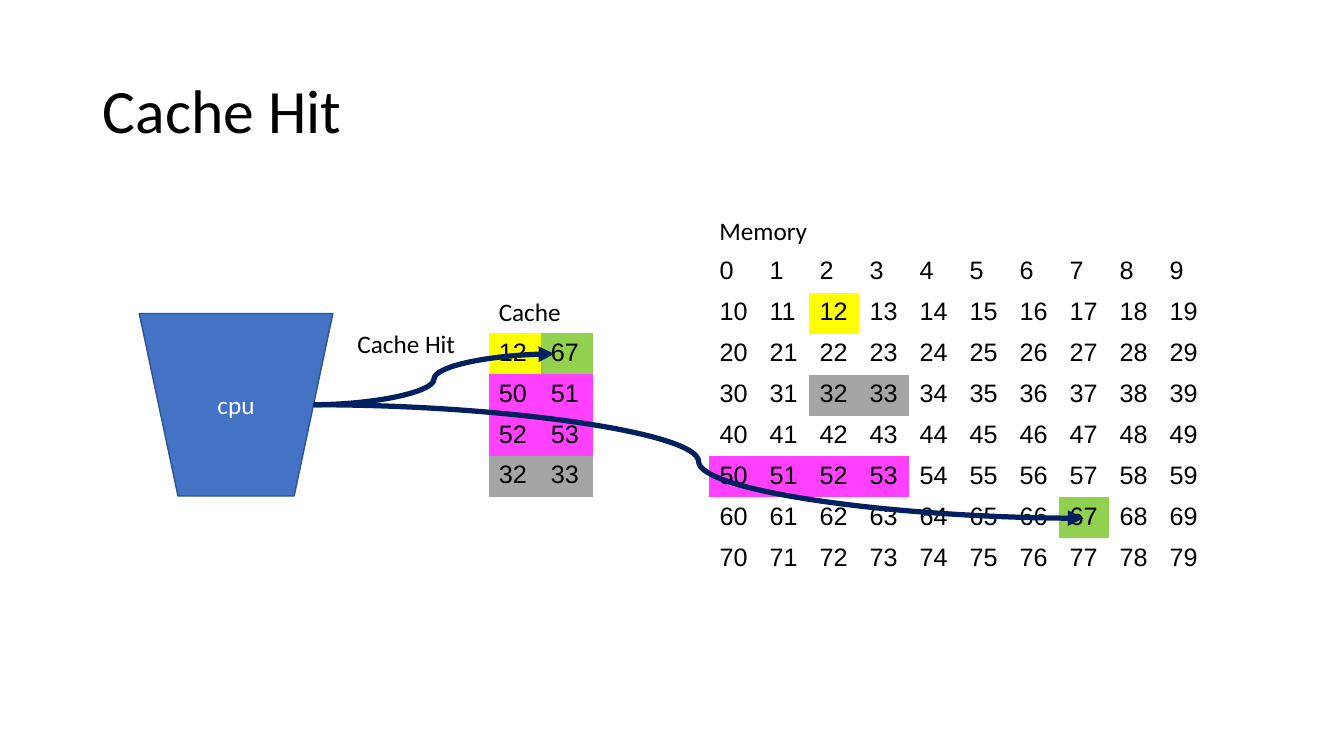
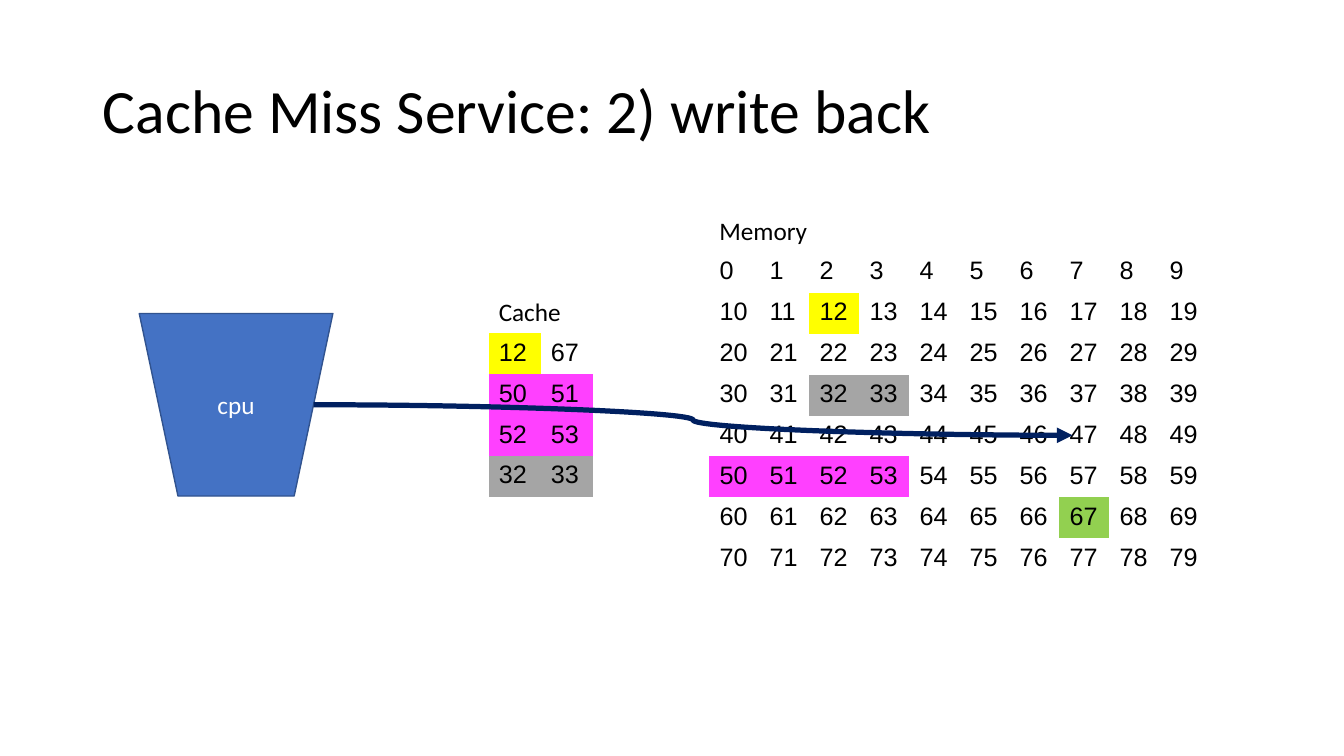
from lxml.etree import SubElement
from pptx import Presentation
from pptx.dml.color import RGBColor
from pptx.enum.shapes import MSO_CONNECTOR, MSO_SHAPE
from pptx.enum.text import MSO_ANCHOR, MSO_AUTO_SIZE, PP_ALIGN
from pptx.oxml.ns import qn
from pptx.util import Cm, Pt

COLORS = {
    "text": "000000",
    "white": "FFFFFF",
    "cpu": "4472C4",
    "cpu_line": "31538F",
    "arrow": "002060",
    "yellow": "FFFF00",
    "gray": "A5A5A5",
    "magenta": "FF40FF",
    "green": "92D050",
}
BLOCK_COLORS = {
    12: "yellow",
    32: "gray",
    33: "gray",
    **dict.fromkeys(range(50, 54), "magenta"),
    67: "green",
}
PLAIN_TABLE_STYLE = "{2D5ABB26-0587-4C30-8999-92F81FD0307C}"
ROW_HEIGHT = 1.03
CACHE_COLUMN = 1.31
MEMORY_COLUMN = 1.26
CPU_BOX = (3.51, 7.9, 4.88, 4.6)
CACHE_CORNER = (12.32, 8.4)
MEMORY_CORNER = (17.88, 6.35)
MEMORY_ROWS = [range(start, start + 10) for start in range(0, 80, 10)]


def color(name):
    return RGBColor.from_string(COLORS[name])


def format_text(frame, size=18, font="Calibri", color_name="text"):
    for para in frame.paragraphs:
        for span in para.runs:
            span.font.size = Pt(size)
            span.font.name = font
            span.font.color.rgb = color(color_name)


def add_title(page, text):
    title = page.shapes.title
    title.left, title.top = Cm(2.34), Cm(1.02)
    title.width, title.height = Cm(29.21), Cm(3.68)
    frame = title.text_frame
    frame.text = text
    frame.auto_size = MSO_AUTO_SIZE.NONE
    frame.vertical_anchor = MSO_ANCHOR.MIDDLE
    para = frame.paragraphs[0]
    para.alignment = PP_ALIGN.LEFT
    para.line_spacing = 0.9
    format_text(frame, size=44)


def add_label(page, text, left, top, width):
    label = page.shapes.add_textbox(Cm(left), Cm(top), Cm(width), Cm(ROW_HEIGHT))
    label.text_frame.text = text
    label.text_frame.word_wrap = False
    format_text(label.text_frame)


def add_number_grid(page, corner, rows, column_width, highlighted=True):
    left, top = corner
    column_count = len(rows[0])
    frame = page.shapes.add_table(
        len(rows), column_count, Cm(left), Cm(top),
        Cm(column_width * column_count), Cm(ROW_HEIGHT * len(rows)),
    )
    table = frame.table
    table.first_row = table.horz_banding = False
    table._tbl.tblPr.find(qn("a:tableStyleId")).text = PLAIN_TABLE_STYLE
    for column in table.columns:
        column.width = Cm(column_width)
    for row, numbers in zip(table.rows, rows):
        row.height = Cm(ROW_HEIGHT)
        for cell, number in zip(row.cells, numbers):
            cell.text_frame.text = "" if number is None else str(number)
            format_text(cell.text_frame, font="Arial")
            if highlighted and number in BLOCK_COLORS:
                cell.fill.solid()
                cell.fill.fore_color.rgb = color(BLOCK_COLORS[number])
            else:
                cell.fill.background()


def add_labelled_grid(page, text, label_width, corner, rows, column_width):
    add_number_grid(page, corner, rows, column_width)
    left, top = corner
    add_label(page, text, left, top - 1.05, label_width)


def add_cpu(page, box):
    cpu = page.shapes.add_shape(
        MSO_SHAPE.FLOWCHART_MANUAL_OPERATION, *[Cm(length) for length in box]
    )
    cpu.shadow.inherit = False
    cpu.fill.solid()
    cpu.fill.fore_color.rgb = color("cpu")
    cpu.line.color.rgb = color("cpu_line")
    cpu.line.width = Pt(1)
    cpu.text_frame.text = "cpu"
    cpu.text_frame.vertical_anchor = MSO_ANCHOR.MIDDLE
    cpu.text_frame.paragraphs[0].alignment = PP_ALIGN.CENTER
    format_text(cpu.text_frame, color_name="white")


def add_access_arrow(page, box, target):
    left, top, width, height = box
    start = (left + 0.9 * width, top + height / 2)
    arrow = page.shapes.add_connector(
        MSO_CONNECTOR.CURVE, *[Cm(length) for length in start + target]
    )
    arrow.line.color.rgb = color("arrow")
    arrow.line.width = Pt(3.75)
    properties = arrow._element.spPr
    SubElement(properties.find(qn("a:ln")), qn("a:tailEnd"), type="triangle")
    SubElement(properties, qn("a:effectLst"))


def add_cache_page(deck, title, first_cache_row):
    page = deck.slides.add_slide(deck.slide_layouts[5])
    add_title(page, title)
    cache_rows = [first_cache_row, (50, 51), (52, 53), (32, 33)]
    add_labelled_grid(page, "Memory", 2.74, MEMORY_CORNER, MEMORY_ROWS, MEMORY_COLUMN)
    add_labelled_grid(page, "Cache", 2.08, CACHE_CORNER, cache_rows, CACHE_COLUMN)
    add_cpu(page, CPU_BOX)
    return page


def add_hit_page(deck):
    page = add_cache_page(deck, "Cache Hit", (12, 67))
    add_access_arrow(page, CPU_BOX, (13.97, 8.92))
    add_label(page, "Cache Hit", 8.76, 8.15, 3)
    add_access_arrow(page, CPU_BOX, (27.31, 13.06))


def add_write_back_page(deck):
    page = add_cache_page(deck, "Cache Miss Service: 2) write back", (12, None))
    add_access_arrow(page, CPU_BOX, (27.03, 10.97))
    left, top = CACHE_CORNER
    add_number_grid(
        page, (left + CACHE_COLUMN, top), [(67,)], CACHE_COLUMN, highlighted=False
    )


def main():
    deck = Presentation()
    deck.slide_width, deck.slide_height = Cm(33.87), Cm(19.05)
    add_hit_page(deck)
    add_write_back_page(deck)
    deck.save("out.pptx")


if __name__ == "__main__":
    main()
